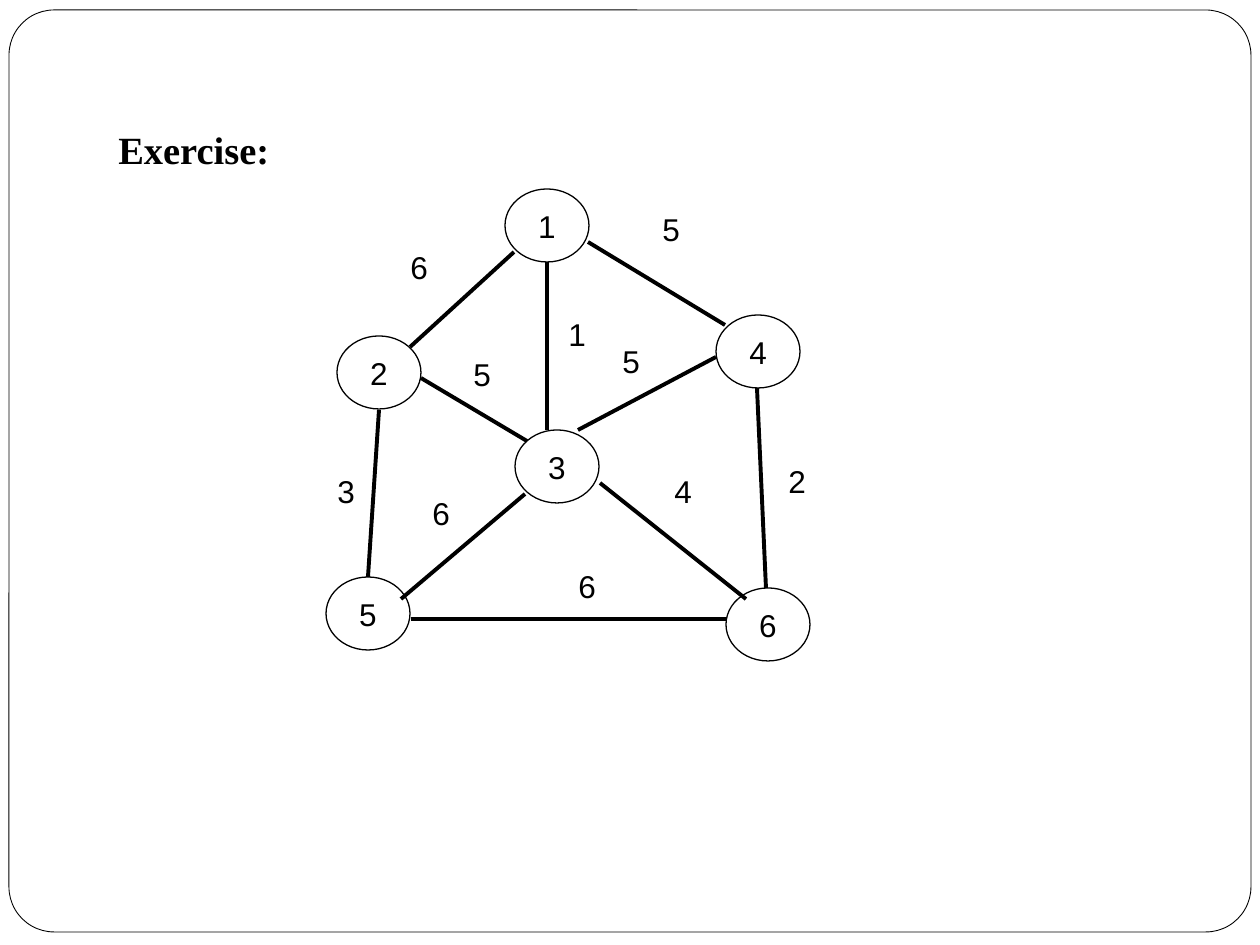
from pptx import Presentation
from pptx.dml.color import RGBColor
from pptx.enum.shapes import MSO_CONNECTOR, MSO_SHAPE
from pptx.enum.text import MSO_ANCHOR, MSO_AUTO_SIZE, PP_ALIGN
from pptx.oxml.ns import qn
from pptx.util import Pt

BLACK = RGBColor(0x00, 0x00, 0x00)
WHITE = RGBColor(0xFF, 0xFF, 0xFF)
PX_PER_INCH = 126

# Node number: left, top
NODES = {
    1: (505, 189),
    3: (515, 430),
    4: (716, 315),
    6: (726, 588),
    5: (326, 577),
    2: (337, 336),
}
# Edge weight, start, end, left and top of its label
EDGES = [
    (6, (514, 252), (410, 347), (398, 242)),
    (1, (547, 262), (547, 430), (556, 309)),
    (3, (379, 410), (368, 577), (325, 466)),
    (6, (525, 494), (401, 599), (420, 488)),
    (6, (411, 619), (726, 619), (566, 561)),
    (4, (600, 483), (746, 599), (662, 466)),
    (2, (757, 388), (766, 588), (776, 456)),
    (5, (716, 357), (578, 430), (610, 336)),
    (5, (588, 242), (725, 325), (650, 204)),
    (5, (421, 378), (527, 441), (461, 349)),
]


def px(*lengths):
    return [round(length * 914400 / PX_PER_INCH) for length in lengths]


def write_text(shape, text, *, font="Arial", size=18, bold=False,
               align=PP_ALIGN.LEFT, anchor=MSO_ANCHOR.TOP, grow=True):
    frame = shape.text_frame
    frame.word_wrap = False
    frame.auto_size = MSO_AUTO_SIZE.SHAPE_TO_FIT_TEXT if grow else MSO_AUTO_SIZE.NONE
    frame.vertical_anchor = anchor
    paragraph = frame.paragraphs[0]
    paragraph.alignment = align
    run = paragraph.add_run()
    run.text = text
    run.font.name = font
    run.font.size = Pt(size)
    run.font.bold = bold
    run.font.color.rgb = BLACK


class GraphSlide:
    node_size = (84, 73)
    label_size = (43, 50)
    node_line = 0.75
    edge_line = 2.25

    def __init__(self, slide):
        self.slide = slide

    def shape(self, preset, box, fill=None, line=None):
        shape = self.slide.shapes.add_shape(preset, *px(*box))
        shape.shadow.inherit = False
        if fill is None:
            shape.fill.background()
        else:
            shape.fill.solid()
            shape.fill.fore_color.rgb = fill
        if line is None:
            shape.line.fill.background()
        else:
            shape.line.color.rgb = BLACK
            shape.line.width = Pt(line)
        return shape

    def border(self, box):
        border = self.shape(MSO_SHAPE.ROUNDED_RECTANGLE, box, line=0.5)
        border.adjustments[0] = 0.049

    def node(self, number, place):
        node = self.shape(MSO_SHAPE.OVAL, place + self.node_size, WHITE, self.node_line)
        write_text(node, str(number), align=PP_ALIGN.CENTER,
                   anchor=MSO_ANCHOR.MIDDLE, grow=False)

    def edge(self, start, end):
        edge = self.slide.shapes.add_connector(MSO_CONNECTOR.STRAIGHT, *px(*start, *end))
        edge.line.color.rgb = BLACK
        edge.line.width = Pt(self.edge_line)
        properties = edge._element.spPr
        properties.append(properties.makeelement(qn("a:effectLst"), {}))

    def weight(self, value, place):
        label = self.shape(MSO_SHAPE.RECTANGLE, place + self.label_size, WHITE)
        write_text(label, str(value))

    def heading(self, text, box):
        heading = self.slide.shapes.add_textbox(*px(*box))
        write_text(heading, text, font="Times New Roman", size=22, bold=True)


def main():
    presentation = Presentation()
    presentation.slide_width, presentation.slide_height = px(1260, 945)
    graph = GraphSlide(presentation.slides.add_slide(presentation.slide_layouts[6]))

    # Page border
    graph.border((9, 10, 1242, 922))

    # Weighted graph
    for number, place in NODES.items():
        graph.node(number, place)
    for _, start, end, _ in EDGES:
        graph.edge(start, end)
    for value, _, _, place in EDGES:
        graph.weight(value, place)

    # Heading
    graph.heading("Exercise:", (106, 120, 176, 59))

    presentation.save("out.pptx")


if __name__ == "__main__":
    main()
